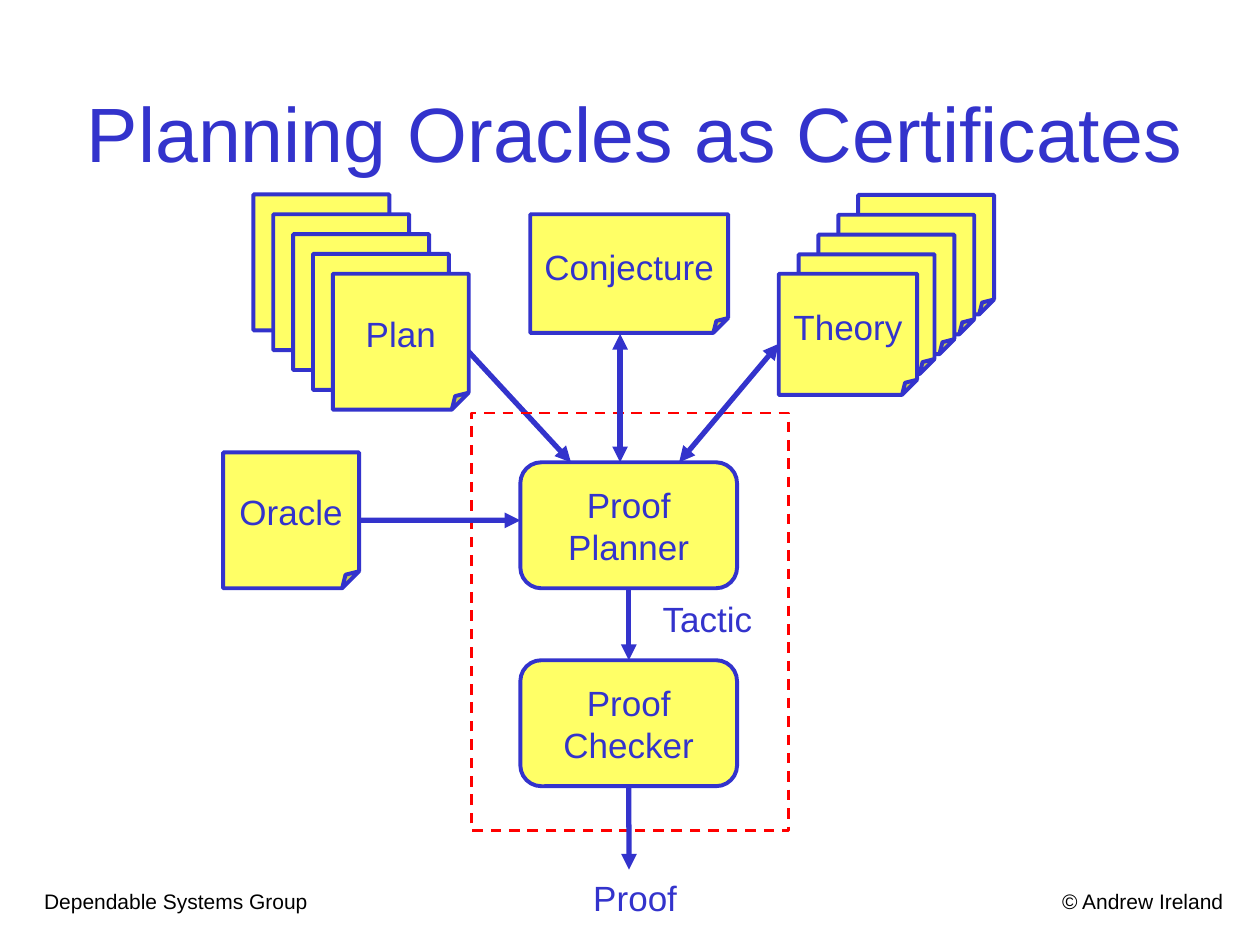
import pptx
import pptx.util
import pptx.dml.color
import pptx.enum.dml
import pptx.enum.shapes
import pptx.enum.text
import pptx.oxml

Cm = pptx.util.Cm
Pt = pptx.util.Pt
SHAPES = pptx.enum.shapes.MSO_SHAPE
ALIGN = pptx.enum.text.PP_ALIGN
ANCHOR = pptx.enum.text.MSO_ANCHOR
DRAWING_NS = 'xmlns:a="http://schemas.openxmlformats.org/drawingml/2006/main"'

COLORS = {"ink": "3333CC", "paper": "FFFF66", "frame": "FF0000", "footer": "000000"}
RGB = {name: pptx.dml.color.RGBColor.from_string(value) for name, value in COLORS.items()}
FRAME_FORMAT = {
    "margin_left": Cm(0.25), "margin_right": Cm(0.25),
    "margin_top": Cm(0.13), "margin_bottom": Cm(0.13),
    "auto_size": pptx.enum.text.MSO_AUTO_SIZE.NONE,
}


def write_text(shape, text, size, color, align, anchor, wrap=False):
    frame = shape.text_frame
    frame.text = text
    for name, value in {**FRAME_FORMAT, "vertical_anchor": anchor, "word_wrap": wrap}.items():
        setattr(frame, name, value)
    for paragraph in frame.paragraphs:
        paragraph.alignment = align
        for name, value in {"name": "Arial", "size": Pt(size)}.items():
            setattr(paragraph.font, name, value)
        paragraph.font.color.rgb = RGB[color]


def draw_arrow(start, end, ends=("tailEnd",)):
    arrow = slide.shapes.add_connector(
        pptx.enum.shapes.MSO_CONNECTOR.STRAIGHT, *(Cm(value) for value in start + end))
    arrow.line.width = Pt(3)
    arrow.line.color.rgb = RGB["ink"]
    properties = arrow._element.spPr
    for tag in ends:
        properties.xpath("a:ln")[0].append(
            pptx.oxml.parse_xml(f'<a:{tag} {DRAWING_NS} type="triangle"/>'))
    properties.append(pptx.oxml.parse_xml(f"<a:effectLst {DRAWING_NS}/>"))
    return arrow


deck = pptx.Presentation()
deck.slide_width = Cm(25.4)
deck.slide_height = Cm(19.05)
slide = deck.slides.add_slide(deck.slide_layouts[5])

title = slide.shapes.title
for name, value in {"left": 1.5, "top": 1.07, "width": 22.61, "height": 3.18}.items():
    setattr(title, name, Cm(value))
write_text(title, "Planning Oracles as Certificates", 44, "ink", ALIGN.CENTER, ANCHOR.MIDDLE, True)

draw_arrow((9.3, 6.93), (11.51, 9.32))

SHEET = 2.74
STEP = 0.4
STACK = 5
fold, rounded = SHAPES.FOLDED_CORNER, SHAPES.ROUNDED_RECTANGLE
boxes = [(fold, "", 5.11 + STEP * i, 3.92 + STEP * i, SHEET, SHEET) for i in range(STACK - 1)]
boxes += [(fold, "", 17.3 - STEP * i, 3.93 + STEP * i, SHEET, 2.41) for i in range(STACK - 1)]
boxes += [
    (fold, "Plan", 6.71, 5.52, SHEET, SHEET),
    (fold, "Theory", 15.7, 5.52, 2.79, 2.44),
    (fold, "Conjecture", 10.69, 4.32, 3.99, 2.39),
    (fold, "Oracle", 4.5, 9.12, SHEET, SHEET),
    (rounded, "Proof\nPlanner", 10.49, 9.32, 4.37, 2.54),
    (rounded, "Proof\nChecker", 10.49, 13.31, 4.37, 2.54),
]
labelled = {}
for preset, label, *place in boxes:
    box = slide.shapes.add_shape(preset, *(Cm(value) for value in place))
    if preset == fold:
        box._element.spPr.xpath("a:prstGeom/a:avLst")[0].append(
            pptx.oxml.parse_xml(f'<a:gd {DRAWING_NS} name="adj" fmla="val 12500"/>'))
    box.shadow.inherit = False
    box.fill.solid()
    box.fill.fore_color.rgb = RGB["paper"]
    box.line.color.rgb = RGB["ink"]
    box.line.width = Pt(2.25)
    if label:
        write_text(box, label, 20, "ink", ALIGN.CENTER, ANCHOR.MIDDLE)
        labelled[label] = box

trusted_area = slide.shapes.add_shape(SHAPES.RECTANGLE, Cm(9.5), Cm(8.33), Cm(6.4), Cm(8.41))
trusted_area.shadow.inherit = False
trusted_area.fill.background()
trusted_area.line.color.rgb = RGB["frame"]
trusted_area.line.width = Pt(1.5)
trusted_area.line.dash_style = pptx.enum.dml.MSO_LINE.DASH

for start, end in [((12.5, 6.73), (12.5, 9.32)), ((15.7, 6.93), (13.69, 9.32))]:
    draw_arrow(start, end, ("headEnd", "tailEnd"))

planner, checker = labelled["Proof\nPlanner"], labelled["Proof\nChecker"]
oracle_arrow = draw_arrow((7.24, 10.49), (10.49, 10.49))
oracle_arrow.begin_connect(labelled["Oracle"], 3)
tactic_arrow = draw_arrow((12.68, 11.86), (12.68, 13.31))
tactic_arrow.begin_connect(planner, 2)
tactic_arrow.end_connect(checker, 0)
proof_arrow = draw_arrow((12.68, 15.85), (12.68, 17.53))
proof_arrow.begin_connect(checker, 2)

for text, size, color, *place in [
    ("Tactic", 20, "ink", 13.11, 11.91, 2.39, 1.12),
    ("Proof", 20, "ink", 11.71, 17.53, 2.18, 1.12),
    ("Dependable Systems Group", 12, "footer", 0.64, 17.78, 5.82, 0.76),
    ("© Andrew Ireland", 12, "footer", 21.16, 17.78, 3.78, 0.76),
]:
    caption = slide.shapes.add_textbox(*(Cm(value) for value in place))
    write_text(caption, text, size, color, ALIGN.LEFT, ANCHOR.TOP)

deck.save("out.pptx")
